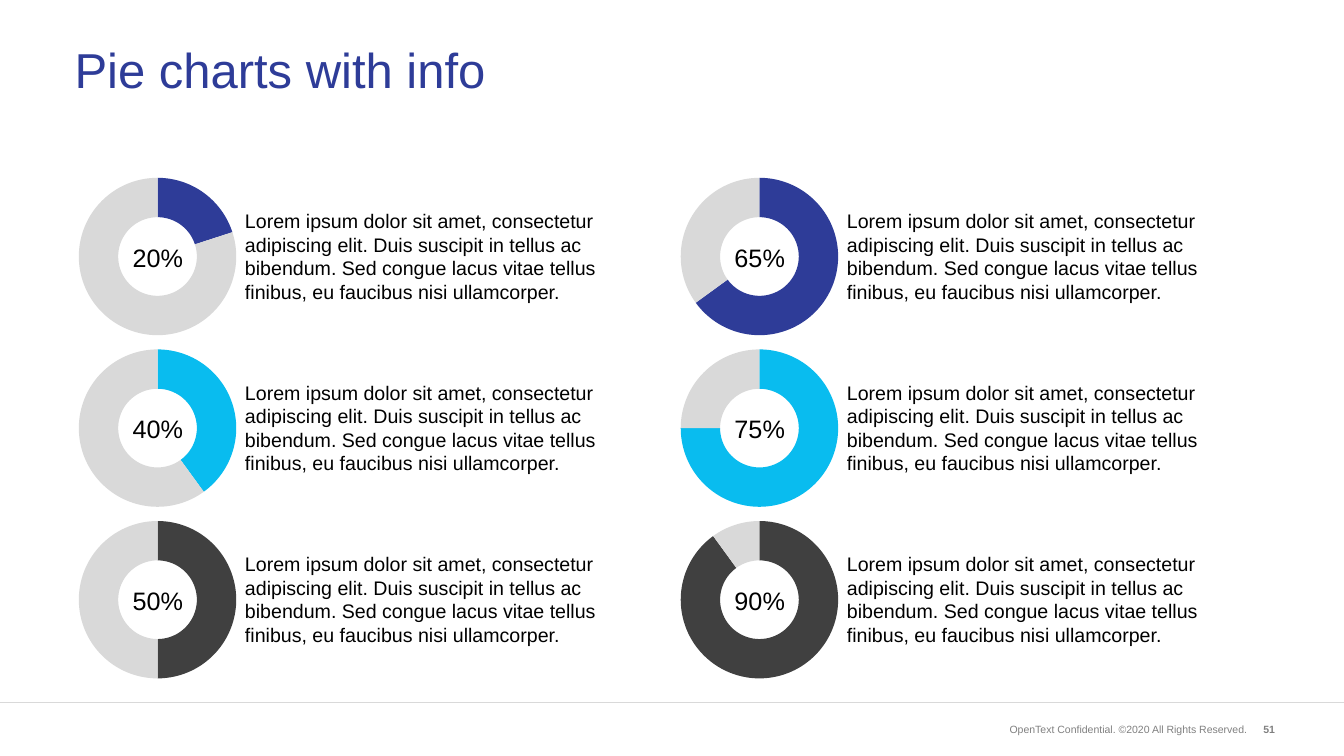
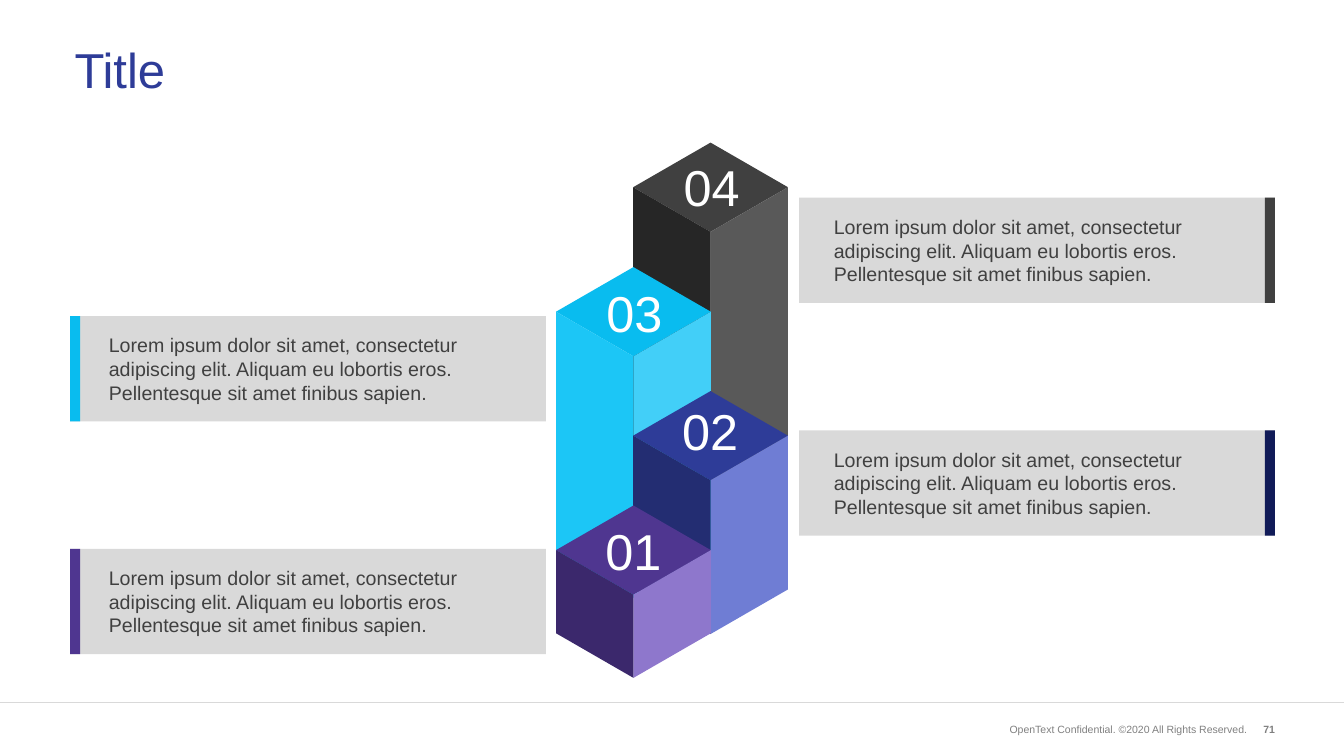
from lxml.etree import SubElement
from pptx import Presentation
from pptx.chart.data import CategoryChartData
from pptx.dml.color import RGBColor
from pptx.enum.chart import XL_CHART_TYPE
from pptx.enum.shapes import MSO_CONNECTOR, MSO_SHAPE
from pptx.enum.text import MSO_ANCHOR, PP_ALIGN
from pptx.oxml import parse_xml
from pptx.oxml.ns import nsdecls, qn
from pptx.util import Inches, Pt

FONT = "Arial"
BLACK = RGBColor(0x00, 0x00, 0x00)
WHITE = RGBColor(0xFF, 0xFF, 0xFF)
GREY = RGBColor(0x80, 0x80, 0x80)
LIGHT = RGBColor(0xD9, 0xD9, 0xD9)
DARK = RGBColor(0x40, 0x40, 0x40)
DARK_RIGHT = RGBColor(0x59, 0x59, 0x59)
DARK_LEFT = RGBColor(0x26, 0x26, 0x26)
BLUE = RGBColor(0x2E, 0x3C, 0x98)
BLUE_RIGHT = RGBColor(0x6F, 0x7D, 0xD4)
BLUE_LEFT = RGBColor(0x23, 0x2D, 0x72)
NAVY = RGBColor(0x11, 0x1B, 0x58)
CYAN = RGBColor(0x09, 0xBC, 0xEF)
CYAN_RIGHT = RGBColor(0x42, 0xCF, 0xF8)
CYAN_LEFT = RGBColor(0x1C, 0xC6, 0xF6)
PURPLE = RGBColor(0x4F, 0x36, 0x90)
PURPLE_RIGHT = RGBColor(0x8E, 0x77, 0xCC)
PURPLE_LEFT = RGBColor(0x3B, 0x28, 0x6C)

TITLE = {"size": Pt(70), "color": BLUE}
FOOTER = {"size": Pt(15), "color": GREY}
PAGE_NUMBER = {"size": Pt(15), "color": GREY, "bold": True}
PERCENT = {"size": Pt(36), "color": BLACK}
INFO = {"size": Pt(28), "color": BLACK}
PANEL = {"size": Pt(28), "color": DARK}
STEP = {"size": Pt(72), "color": WHITE}

INFO_TEXT = (
    "Lorem ipsum dolor sit amet, consectetur adipiscing elit. Duis suscipit in tellus ac "
    "bibendum. Sed congue lacus vitae tellus finibus, eu faucibus nisi ullamcorper."
)
PANEL_TEXT = (
    "Lorem ipsum dolor sit amet, consectetur adipiscing elit. Aliquam eu lobortis eros. "
    "Pellentesque sit amet finibus sapien."
)


def write(box, text, style, align=PP_ALIGN.LEFT, inset=None, spacing=None):
    frame = box.text_frame
    frame.word_wrap = True
    frame.vertical_anchor = MSO_ANCHOR.MIDDLE
    if inset is not None:
        for side in ("left", "top", "right", "bottom"):
            setattr(frame, f"margin_{side}", Inches(inset))
    para = frame.paragraphs[0]
    para.alignment = align
    para.line_spacing = spacing
    span = para.add_run()
    span.text = text
    span.font.name = FONT
    for name, value in style.items():
        if name == "color":
            span.font.color.rgb = value
        else:
            setattr(span.font, name, value)


def paint(shape, color):
    shape.shadow.inherit = False
    shape.fill.solid()
    shape.fill.fore_color.rgb = color
    shape.line.fill.background()


deck = Presentation()
deck.slide_width = Inches(26.66)
deck.slide_height = Inches(15)

pages = []
for title, number in (("Pie charts with info", "51"), ("Title", "71")):
    page = deck.slides.add_slide(deck.slide_layouts[6])
    pages.append(page)
    rule = page.shapes.add_connector(
        MSO_CONNECTOR.STRAIGHT, 0, Inches(13.94), deck.slide_width, Inches(13.94)
    )
    rule.line.color.rgb = LIGHT
    rule.line.width = Pt(1)
    SubElement(rule._element.spPr, qn("a:effectLst"))
    box = page.shapes.add_textbox(Inches(1.38), Inches(0.38), Inches(23.91), Inches(2.12))
    write(box, title, TITLE, spacing=0.9)
    box = page.shapes.add_textbox(Inches(19.47), Inches(14.3), Inches(5.37), Inches(0.35))
    write(box, "OpenText Confidential. ©2020 All Rights Reserved.", FOOTER, PP_ALIGN.RIGHT)
    box = page.shapes.add_textbox(Inches(24.68), Inches(14.3), Inches(0.71), Inches(0.35))
    write(box, number, PAGE_NUMBER, PP_ALIGN.RIGHT)

pie_page, tower_page = pages

for left, shares in ((1.39, (20, 40, 50)), (13.33, (65, 75, 90))):
    for row, (share, color) in enumerate(zip(shares, (BLUE, CYAN, DARK))):
        top = 3.39 + row * 3.405
        disc = pie_page.shapes.add_shape(
            MSO_SHAPE.OVAL, Inches(left + 0.16), Inches(top + 0.13), Inches(3.16), Inches(3.16)
        )
        paint(disc, WHITE)
        write(disc, f"{share}%", PERCENT, PP_ALIGN.CENTER)

        data = CategoryChartData()
        data.categories = ["1", "2"]
        data.add_series("Series 1", (share, 100 - share))
        chart = pie_page.shapes.add_chart(
            XL_CHART_TYPE.DOUGHNUT, Inches(left), Inches(top), Inches(3.47), Inches(3.4), data
        ).chart
        chart.has_legend = False
        chart.has_title = False
        chart.font.name = FONT
        chart.font.size = Pt(10)
        chart.font.color.rgb = BLACK
        plot = chart.plots[0]
        plot.vary_by_categories = True
        for index, slice_color in enumerate((color, LIGHT)):
            part = plot.series[0].points[index].format
            part.fill.solid()
            part.fill.fore_color.rgb = slice_color
            part.line.fill.background()

        space = chart._chartSpace
        space.find(".//" + qn("c:holeSize")).set("val", "60")
        space.find(qn("c:chart")).addnext(
            parse_xml(
                f'<c:spPr {nsdecls("c", "a")}><a:noFill/><a:ln><a:noFill/></a:ln></c:spPr>'
            )
        )
        area = space.find(".//" + qn("c:plotArea"))
        for old in area.findall(qn("c:layout")):
            area.remove(old)
        layout = parse_xml(f'<c:layout {nsdecls("c")}><c:manualLayout/></c:layout>')
        settings = {"layoutTarget": "inner", "xMode": "edge", "yMode": "edge",
                    "x": "0.05", "y": "0.04", "w": "0.9", "h": "0.92"}
        for name, value in settings.items():
            SubElement(layout[0], qn(f"c:{name}")).set("val", value)
        area.insert(0, layout)

        box = pie_page.shapes.add_textbox(
            Inches(left + 3.47), Inches(top + 0.75), Inches(7.82), Inches(1.88)
        )
        write(box, INFO_TEXT, INFO, inset=0)

HALF_WIDTH = 1.535
HALF_DEPTH = 0.885
towers = (
    ("04", 12.56, 2.83, 6.9, 13.18, 3.1, (DARK, DARK_RIGHT, DARK_LEFT)),
    ("03", 11.03, 5.3, 4.79, 11.65, 5.59, (CYAN, CYAN_RIGHT, CYAN_LEFT)),
    ("02", 12.56, 7.76, 3.05, 13.15, 7.94, (BLUE, BLUE_RIGHT, BLUE_LEFT)),
    ("01", 11.03, 10.03, 1.65, 11.63, 10.32, (PURPLE, PURPLE_RIGHT, PURPLE_LEFT)),
)
blocks = tower_page.shapes.add_group_shape()
for step, left, top, height, label_left, label_top, colors in towers:
    middle = left + HALF_WIDTH
    right = middle + HALF_WIDTH
    shoulder = top + HALF_DEPTH
    front = shoulder + HALF_DEPTH
    faces = (
        ((right, shoulder), (middle, front), (left, shoulder), (middle, top)),
        ((right, shoulder), (right, shoulder + height), (middle, front + height), (middle, front)),
        ((middle, front), (middle, front + height), (left, shoulder + height), (left, shoulder)),
    )
    for face, color in zip(faces, colors):
        points = [(Inches(x), Inches(y)) for x, y in face]
        outline = blocks.shapes.build_freeform(*points[0])
        outline.add_line_segments(points[1:], close=True)
        paint(outline.convert_to_shape(), color)

for step, left, top, height, label_left, label_top, colors in towers:
    box = tower_page.shapes.add_textbox(
        Inches(label_left), Inches(label_top), Inches(1.87), Inches(1.21)
    )
    write(box, step, STEP, PP_ALIGN.CENTER, inset=0)

panels = (
    (15.85, 3.92, 25.09, 16.54, 7.73, DARK),
    (15.85, 8.54, 25.09, 16.54, 7.73, NAVY),
    (1.39, 6.27, 1.39, 2.16, 7.97, CYAN),
    (1.39, 10.89, 1.39, 2.16, 7.97, PURPLE),
)
for left, top, edge_left, text_left, text_width, color in panels:
    panel = tower_page.shapes.add_group_shape()
    for bar_left, width, fill in ((left, 9.44, LIGHT), (edge_left, 0.2, color)):
        bar = panel.shapes.add_shape(
            MSO_SHAPE.RECTANGLE, Inches(bar_left), Inches(top), Inches(width), Inches(2.09)
        )
        paint(bar, fill)
    box = tower_page.shapes.add_textbox(
        Inches(text_left), Inches(top + 0.34), Inches(text_width), Inches(1.41)
    )
    write(box, PANEL_TEXT, PANEL, inset=0)

deck.save("out.pptx")
